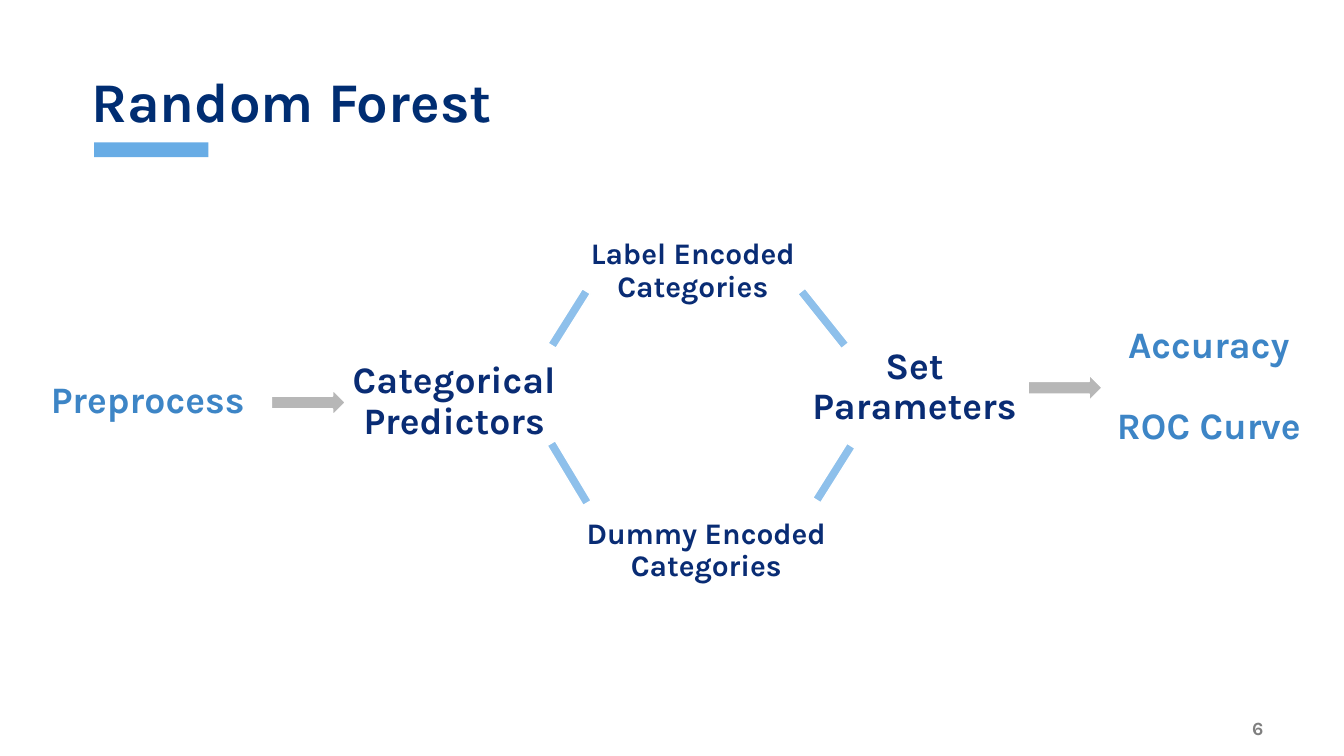
from dataclasses import dataclass
from typing import Optional

from lxml.etree import SubElement
from pptx import Presentation
from pptx.dml.color import RGBColor
from pptx.enum.shapes import MSO_SHAPE
from pptx.enum.text import MSO_ANCHOR, MSO_AUTO_SIZE, PP_ALIGN
from pptx.oxml.ns import qn
from pptx.util import Pt


@dataclass(frozen=True)
class Theme:
    font: str = "Karla"
    title: str = "002D72"
    step: str = "092C74"
    endpoint: str = "3D85C6"
    accent: str = "68ACE5"
    link: str = "69ACE5"
    arrow: str = "B7B7B7"
    outline: str = "FFFFFF"
    number: str = "7F7F7F"
    title_size: float = 30
    step_size: float = 20
    branch_size: float = 16
    number_size: float = 10
    link_opacity: int = 75


THEME = Theme()


@dataclass(frozen=True)
class Label:
    lines: tuple[str, ...]
    left: float
    top: float
    width: float
    height: float
    color: str = THEME.step
    size: float = THEME.step_size
    align: PP_ALIGN = PP_ALIGN.CENTER
    anchor: MSO_ANCHOR = MSO_ANCHOR.TOP
    inset: float = 7.2
    line_spacing: float = 0.9
    gap: float = 0
    grow: bool = True


@dataclass(frozen=True)
class Block:
    left: float
    top: float
    width: float
    height: float
    color: str
    kind: MSO_SHAPE = MSO_SHAPE.RECTANGLE
    rotation: float = 0
    outline: Optional[str] = THEME.outline
    opacity: int = 100


def link(left: float, top: float, height: float, rotation: float) -> Block:
    return Block(left, top, 5.04, height, THEME.link, rotation=rotation,
                 opacity=THEME.link_opacity)


def arrow(left: float, top: float) -> Block:
    return Block(left, top, 39.6, 13.68, THEME.arrow, MSO_SHAPE.RIGHT_ARROW)


BLOCKS = (
    Block(50.4, 76.32, 61.2, 7.92, THEME.accent, outline=None),
    arrow(145.44, 208.8),
    arrow(550.8, 200.88),
    link(302.4, 153.36, 34.56, 32.2),
    link(302.4, 234.72, 37.44, 149),
    link(444.24, 236.16, 34.56, 32.2),
    link(438.48, 151.92, 37.44, 141.4),
)

LABELS = (
    Label(("6",), 621.36, 383.04, 62.64, 13.68, THEME.number, THEME.number_size,
          PP_ALIGN.RIGHT, MSO_ANCHOR.MIDDLE, 3.6, 1, grow=False),
    Label(("Random Forest",), 41.76, 36, 636.48, 40.32, THEME.title, THEME.title_size,
          PP_ALIGN.LEFT, MSO_ANCHOR.MIDDLE, 3.6, grow=False),
    Label(("Preprocess",), 20.16, 197.28, 124.56, 36, THEME.endpoint,
          align=PP_ALIGN.LEFT),
    Label(("Categorical", "Predictors"), 179.28, 186.48, 128.16, 58.32),
    Label(("Label Encoded", "Categories"), 302.4, 120.96, 137.52, 49.68,
          size=THEME.branch_size),
    Label(("Dummy Encoded", "Categories"), 302.4, 270.72, 151.92, 49.68,
          size=THEME.branch_size),
    Label(("Set", "Parameters"), 421.2, 178.56, 137.52, 58.32),
    Label(("Accuracy", "ROC Curve"), 585.36, 167.76, 124.56, 79.92, THEME.endpoint,
          gap=21.6),
)


def draw_block(slide, block: Block) -> None:
    shape = slide.shapes.add_shape(block.kind, Pt(block.left), Pt(block.top),
                                   Pt(block.width), Pt(block.height))
    shape.shadow.inherit = False
    shape.rotation = block.rotation
    shape.fill.solid()
    shape.fill.fore_color.rgb = RGBColor.from_string(block.color)
    if block.opacity < 100:
        color = shape.fill._xPr.find(f"{qn('a:solidFill')}/{qn('a:srgbClr')}")
        SubElement(color, qn("a:alpha"), val=str(block.opacity * 1000))
    if block.outline:
        shape.line.color.rgb = RGBColor.from_string(block.outline)
        shape.line.width = Pt(0.75)
    else:
        shape.line.fill.background()


def draw_label(slide, label: Label) -> None:
    shape = slide.shapes.add_textbox(Pt(label.left), Pt(label.top),
                                     Pt(label.width), Pt(label.height))
    frame = shape.text_frame
    frame.word_wrap = True
    frame.auto_size = MSO_AUTO_SIZE.SHAPE_TO_FIT_TEXT if label.grow else MSO_AUTO_SIZE.NONE
    frame.vertical_anchor = label.anchor
    frame.margin_left = frame.margin_right = Pt(7.2)
    frame.margin_top = frame.margin_bottom = Pt(label.inset)
    frame.text = "\n".join(label.lines)
    for index, paragraph in enumerate(frame.paragraphs):
        paragraph.alignment = label.align
        paragraph.line_spacing = label.line_spacing
        paragraph.space_before = Pt(label.gap if index else 0)
        paragraph.font.name = THEME.font
        paragraph.font.size = Pt(label.size)
        paragraph.font.bold = True
        paragraph.font.color.rgb = RGBColor.from_string(label.color)


def main() -> None:
    presentation = Presentation()
    presentation.slide_width = Pt(720)
    presentation.slide_height = Pt(405)
    slide = presentation.slides.add_slide(presentation.slide_layouts[6])
    for block in BLOCKS:
        draw_block(slide, block)
    for label in LABELS:
        draw_label(slide, label)
    presentation.save("out.pptx")


if __name__ == "__main__":
    main()
